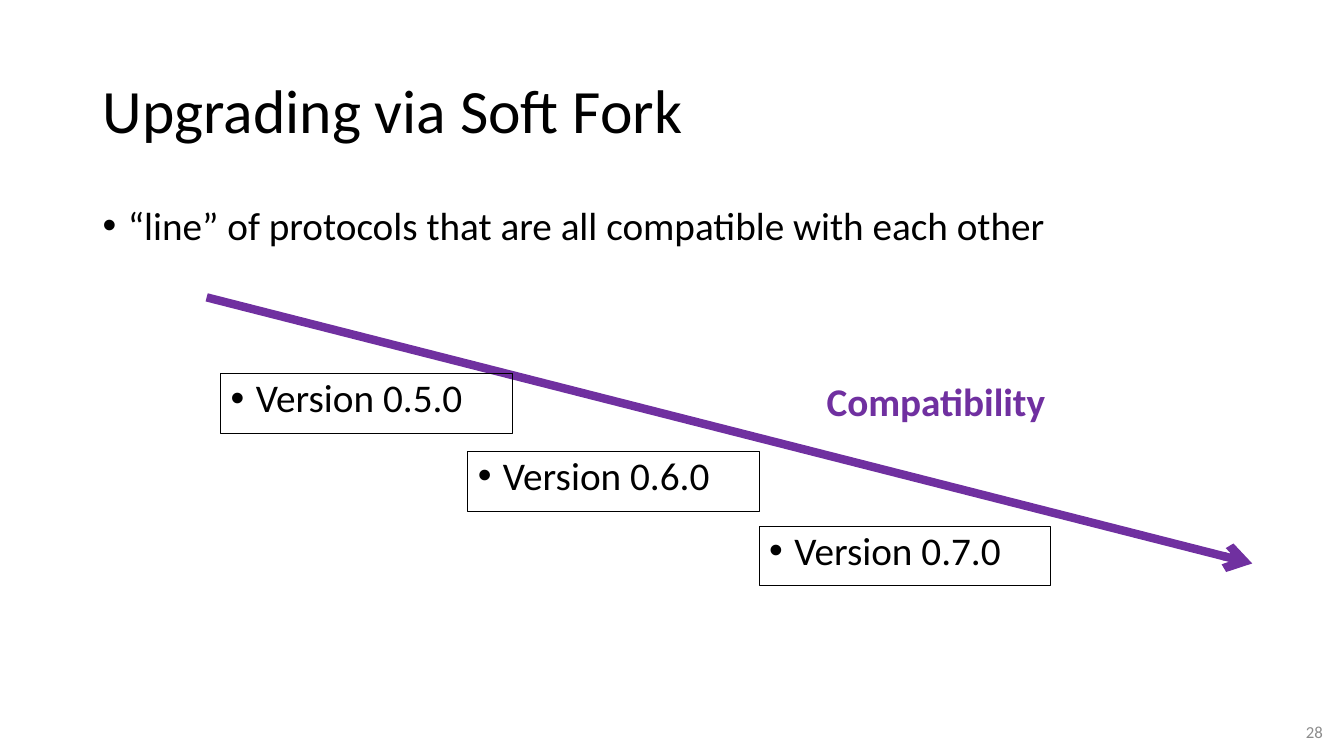
from pptx import Presentation, util as u
from pptx.dml.color import RGBColor
from pptx.enum import shapes, text
from pptx.oxml import parse_xml
from pptx.oxml.ns import nsdecls, qn

BLACK = RGBColor(0, 0, 0)
GRAY = RGBColor(0x8C, 0x8C, 0x8C)
PURPLE = RGBColor(0x70, 0x30, 0xA0)
MID = text.MSO_ANCHOR.MIDDLE
TOP = text.MSO_ANCHOR.TOP

deck = Presentation()
deck.slide_width, deck.slide_height = u.Inches(13.33), u.Inches(7.5)
slide = deck.slides.add_slide(deck.slide_layouts[6])


def write(words, x, y, w, h, size=28, color=BLACK, anchor=TOP, space=10, bullet=False):
    box = slide.shapes.add_textbox(*map(u.Inches, (x, y, w, h)))
    frame = box.text_frame
    frame.word_wrap = True
    frame.vertical_anchor = anchor
    para = frame.paragraphs[0]
    para.line_spacing = 0.9
    para.space_before = u.Pt(space)
    if bullet:
        props = para._p.get_or_add_pPr()
        props.set("marL", str(u.Inches(0.25)))
        props.set("indent", str(u.Inches(-0.25)))
        props.append(parse_xml(f'<a:buFont {nsdecls("a")} typeface="Arial"/>'))
        props.append(parse_xml(f'<a:buChar {nsdecls("a")} char="•"/>'))
    run = para.add_run()
    run.text = words
    run.font.name = "Calibri"
    run.font.size = u.Pt(size)
    run.font.color.rgb = color
    return box


write("Upgrading via Soft Fork", 0.92, 0.4, 11.5, 1.45, size=44, anchor=MID, space=0)
write("“line” of protocols that are all compatible with each other",
      0.92, 2, 11.5, 4.76, bullet=True)

page = write("28", 10.22, 7.06, 3, 0.4, size=12, color=GRAY, anchor=MID, space=0)
para = page.text_frame.paragraphs[0]
para.alignment = text.PP_ALIGN.RIGHT
para.line_spacing = 1.0

ends = map(u.Inches, (2.05, 2.95, 12.42, 5.59))
arrow = slide.shapes.add_connector(shapes.MSO_CONNECTOR.STRAIGHT, *ends)
arrow.line.color.rgb = PURPLE
arrow.line.width = u.Pt(6)
arrow.line._get_or_add_ln().append(parse_xml(f'<a:tailEnd {nsdecls("a")} type="arrow"/>'))
arrow._element.find(qn("p:spPr")).append(parse_xml(f'<a:effectLst {nsdecls("a")}/>'))

for name, x, y in (("Version 0.5.0", 2.19, 3.71),
                   ("Version 0.6.0", 4.64, 4.48),
                   ("Version 0.7.0", 7.53, 5.22)):
    box = write(name, x, y, 2.89, 0.59, bullet=True)
    box.line.color.rgb = BLACK
    box.line.width = u.Pt(0.75)

label = write("Compatibility", 8.1, 3.75, 2.89, 0.59, color=PURPLE)
label.text_frame.paragraphs[0].runs[0].font.bold = True

deck.save("out.pptx")
